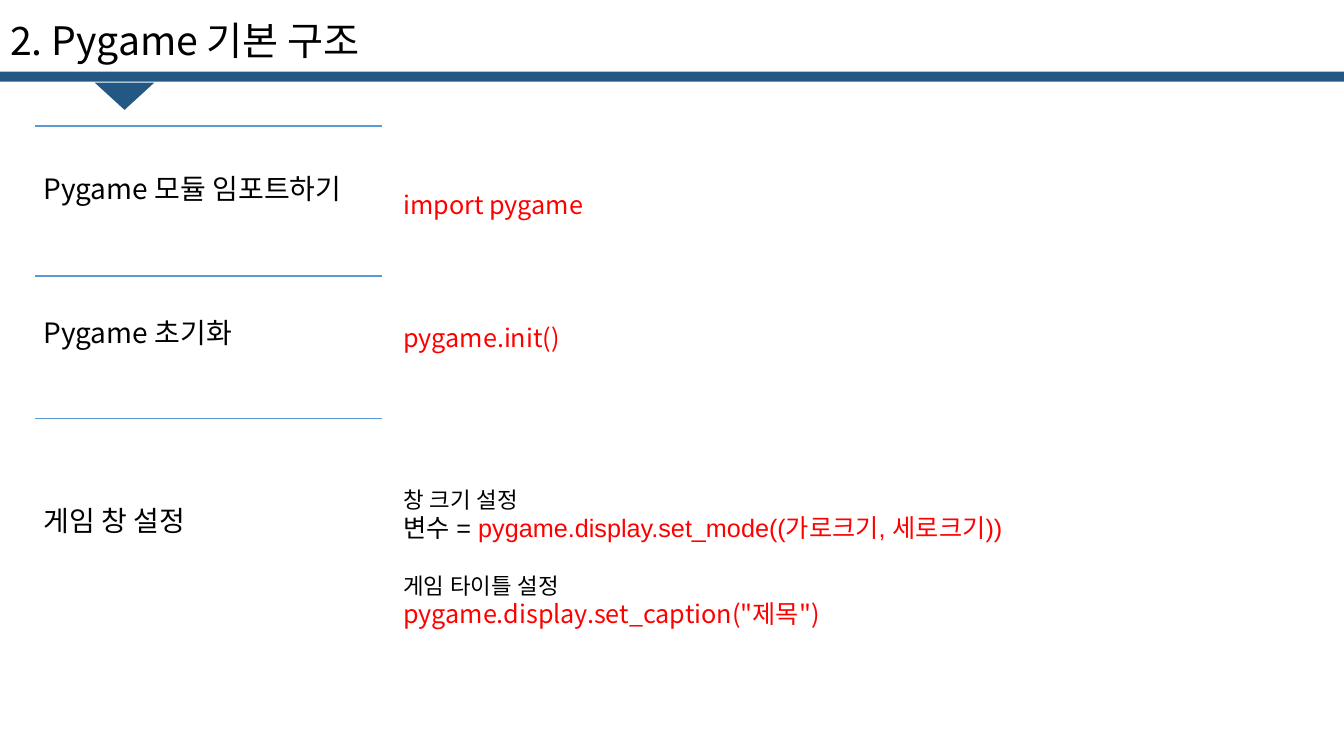
from lxml import etree
from pptx import Presentation
from pptx.dml.color import RGBColor
from pptx.enum.shapes import MSO_CONNECTOR, MSO_SHAPE
from pptx.enum.text import MSO_ANCHOR, PP_ALIGN
from pptx.oxml.ns import qn
from pptx.util import Inches, Pt

RECTANGLE, TRIANGLE = MSO_SHAPE.RECTANGLE, MSO_SHAPE.ISOSCELES_TRIANGLE
STRAIGHT = MSO_CONNECTOR.STRAIGHT
TOP, LEFT = MSO_ANCHOR.TOP, PP_ALIGN.LEFT
NOTO, ARIAL = "Noto Sans CJK KR", "Arial"
NAVY, BLUE, RED, BLACK = "235884", "5B9BD5", "FF0000", "000000"


def rgb(color):
    return RGBColor.from_string(color)


def add_text(paragraph, text, size=18, font=NOTO, color=BLACK):
    """Append a run, using one font for Latin and Korean letters."""
    run = paragraph.add_run()
    run.text = text
    run.font.size = Pt(size)
    run.font.name = font
    run.font.color.rgb = rgb(color)
    etree.SubElement(run.font._element, qn("a:ea"), typeface=font)


prs = Presentation()
prs.slide_width, prs.slide_height = Inches(13.33), Inches(7.5)
slide = prs.slides.add_slide(prs.slide_layouts[5])
shapes = slide.shapes

# Title
title = shapes.title
title.left, title.top = Inches(0), Inches(0.11)
title.width, title.height = Inches(3.8), Inches(0.57)
title.text_frame.word_wrap = False
title.text_frame.vertical_anchor = TOP
heading = title.text_frame.paragraphs[0]
heading.alignment = LEFT
add_text(heading, "2. Pygame 기본 구조", size=28)

# Header bar and the pointer below it
for kind, left, top, width, height, angle in (
    (RECTANGLE, 0, 0.71, 13.33, 0.1, 0),
    (TRIANGLE, 0.94, 0.82, 0.59, 0.27, 180),
):
    header_part = shapes.add_shape(
        kind, Inches(left), Inches(top), Inches(width), Inches(height))
    header_part.rotation = angle
    header_part.shadow.inherit = False
    header_part.fill.solid()
    header_part.fill.fore_color.rgb = rgb(NAVY)
    header_part.line.fill.background()

# Steps: a rule above each label; the inset sets the label's height in its row
for step, top, height, inset in (
    ("Pygame 모듈 임포트하기", 1.25, 1.49, 0.45),
    ("Pygame 초기화", 2.74, 1.41, 0.39),
    ("게임 창 설정", 4.15, 2.98, 0.84),
):
    rule = shapes.add_connector(
        STRAIGHT, Inches(0.35), Inches(top), Inches(3.79), Inches(top))
    rule.line.color.rgb = rgb(BLUE)
    rule.line.width = Pt(1)
    etree.SubElement(rule._element.spPr, qn("a:effectLst"))

    label = shapes.add_textbox(
        Inches(0.35), Inches(top), Inches(3.43), Inches(height)).text_frame
    label.word_wrap = True
    label.margin_left = label.margin_right = Inches(0.08)
    label.margin_top = Inches(inset)
    add_text(label.paragraphs[0], step, size=20)

# Code for each step: box top, width, height, then lines of (text, format) runs
note = {"size": 16, "font": ARIAL}
code = {"color": RED}
for top, width, height, lines in (
    (1.83, 2.71, 0.4, [[("import pygame", code)]]),
    (3.15, 2.81, 0.4, [[("pygame.init()", code)]]),
    (4.77, 7.04, 1.55, [
        [("창 크기 설정", note)],
        [("변수 = ", {"font": ARIAL}),
         ("pygame.display.set_mode((가로크기, 세로크기))",
          {"font": ARIAL, "color": RED})],
        [("게임 타이틀 설정", note)],
        [('pygame.display.set_caption("제목")', code)],
    ]),
):
    example = shapes.add_textbox(
        Inches(3.9), Inches(top), Inches(width), Inches(height)).text_frame
    example.word_wrap = True
    for number, line in enumerate(lines):
        paragraph = example.add_paragraph() if number else example.paragraphs[0]
        if number == 2:  # gap between the two window settings
            paragraph.space_before = Pt(20.7)
        for text, style in line:
            add_text(paragraph, text, **style)

prs.save("out.pptx")
